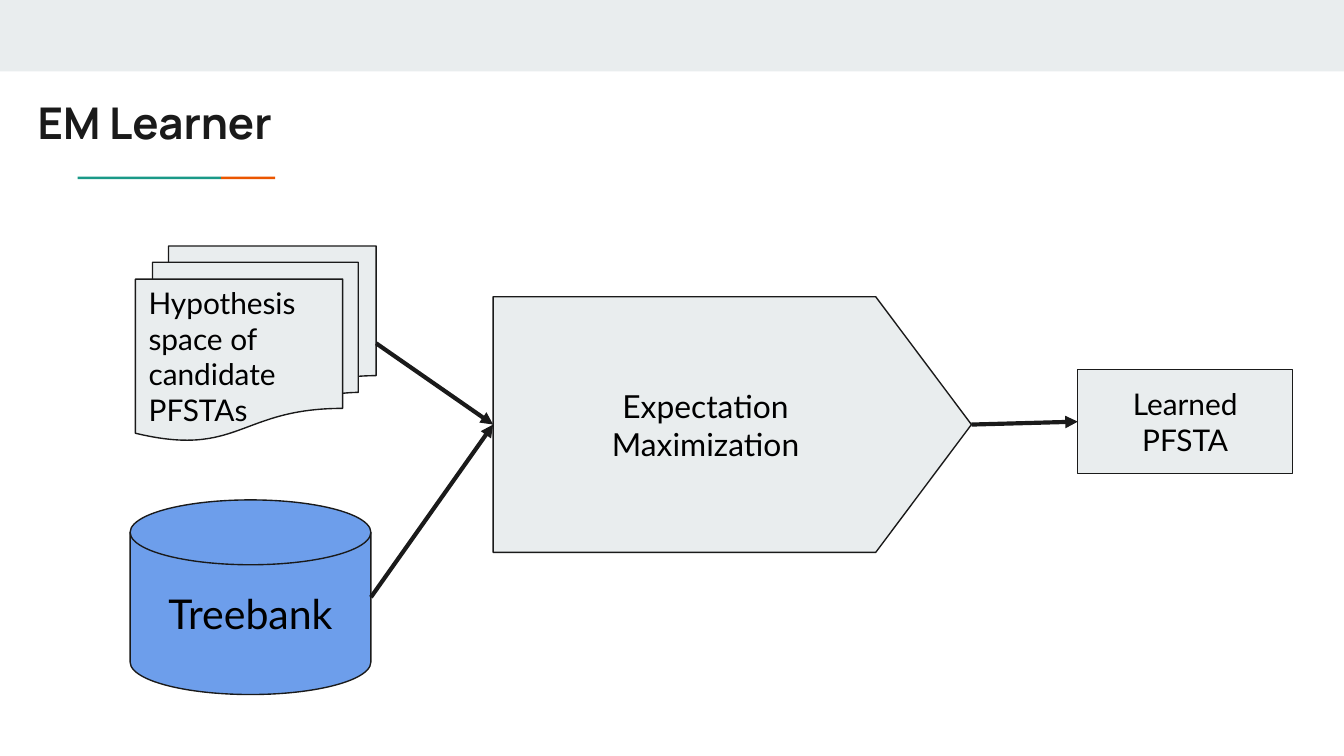
from collections import namedtuple

from lxml.etree import SubElement
from pptx import Presentation
from pptx.dml.color import RGBColor
from pptx.enum.shapes import MSO_CONNECTOR, MSO_SHAPE
from pptx.enum.text import MSO_ANCHOR, PP_ALIGN
from pptx.oxml.ns import qn
from pptx.util import Cm, Pt

INK = RGBColor(0x1A, 0x1A, 0x1A)
BLACK = RGBColor(0x00, 0x00, 0x00)
MIST = RGBColor(0xE9, 0xED, 0xEE)
BLUE = RGBColor(0x6D, 0x9E, 0xEB)
TEAL = RGBColor(0x1A, 0x99, 0x88)
ORANGE = RGBColor(0xEB, 0x56, 0x00)

Box = namedtuple("Box", "left top width height")


def lengths(box):
    return [Cm(value) for value in box]


def left_middle(box):
    return box.left, box.top + box.height / 2


def right_middle(box):
    return box.left + box.width, box.top + box.height / 2


def write(shape, text, size, font="Lato", color=BLACK, bold=False,
          align=PP_ALIGN.CENTER, anchor=MSO_ANCHOR.MIDDLE):
    frame = shape.text_frame
    frame.word_wrap = True
    frame.vertical_anchor = anchor
    frame.margin_left = frame.margin_right = Cm(0.25)
    frame.margin_top = frame.margin_bottom = Cm(0.25)
    frame.text = text
    para = frame.paragraphs[0]
    para.alignment = align
    para.font.name = font
    para.font.size = Pt(size)
    para.font.bold = bold
    para.font.color.rgb = color


def add_block(page, kind, box, fill, outlined=True):
    shape = page.shapes.add_shape(kind, *lengths(box))
    shape.shadow.inherit = False
    shape.fill.solid()
    shape.fill.fore_color.rgb = fill
    if outlined:
        shape.line.color.rgb = INK
        shape.line.width = Pt(0.75)
    else:
        shape.line.fill.background()
    return shape


def add_arrow(page, start, end):
    points = [Cm(value) for value in (*start, *end)]
    arrow = page.shapes.add_connector(MSO_CONNECTOR.STRAIGHT, *points)
    arrow.line.color.rgb = INK
    arrow.line.width = Pt(2.25)
    SubElement(arrow.line._get_or_add_ln(), qn("a:tailEnd"), type="triangle")
    SubElement(arrow._element.spPr, qn("a:effectLst"))


def add_header(page, box):
    band = Box(box.left, box.top, box.width, 1.35)
    add_block(page, MSO_SHAPE.RECTANGLE, band, MIST, outlined=False)

    title = page.shapes.title
    title.left, title.top, title.width, title.height = lengths(
        Box(box.left + 0.46, box.top + 1.57, 21.36, 1.5))
    write(title, "EM Learner", 23.4, "Manrope", INK, True,
          PP_ALIGN.LEFT, MSO_ANCHOR.TOP)

    left = box.left + 1.47
    for width, color in ((2.71, TEAL), (1.02, ORANGE)):
        rule = Box(left, box.top + 3.34, width, 0.05)
        add_block(page, MSO_SHAPE.RECTANGLE, rule, color, outlined=False)
        left += width


def add_process(page, box):
    upright = Box(box.left + (box.width - box.height) / 2,
                  box.top - (box.width - box.height) / 2,
                  box.height, box.width)
    pointer = add_block(page, MSO_SHAPE.FLOWCHART_OFFPAGE_CONNECTOR, upright, MIST)
    pointer.rotation = 270
    label = page.shapes.add_textbox(
        *lengths(Box(box.left + 0.94, box.top + 1.45, 6.15, 1.96)))
    write(label, "Expectation Maximization", 17, anchor=MSO_ANCHOR.TOP)


def add_diagram(page, box):
    def place(left, top, width, height):
        return Box(box.left + left, box.top + top, width, height)

    hypotheses = place(0.1, 0, 4.55, 3.68)
    treebank = place(0, 4.8, 4.55, 3.68)
    process = place(6.86, 0.96, 9.04, 4.83)
    learned = place(17.91, 2.34, 4.06, 1.96)

    shape = add_block(page, MSO_SHAPE.FLOWCHART_MULTIDOCUMENT, hypotheses, MIST)
    write(shape, "Hypothesis space of candidate PFSTAs", 16, align=PP_ALIGN.LEFT)
    shape = add_block(page, MSO_SHAPE.FLOWCHART_MAGNETIC_DISK, treebank, BLUE)
    write(shape, "Treebank", 22)
    add_process(page, process)
    shape = add_block(page, MSO_SHAPE.RECTANGLE, learned, MIST)
    write(shape, "Learned PFSTA", 16)

    for source, target in ((hypotheses, process), (treebank, process),
                           (process, learned)):
        add_arrow(page, right_middle(source), left_middle(target))


def main():
    deck = Presentation()
    deck.slide_width, deck.slide_height = Cm(25.4), Cm(14.29)
    page = deck.slides.add_slide(deck.slide_layouts[5])
    add_header(page, Box(0, 0, 25.4, 3.39))
    add_diagram(page, Box(2.46, 4.65, 21.97, 8.48))
    deck.save("out.pptx")


if __name__ == "__main__":
    main()
